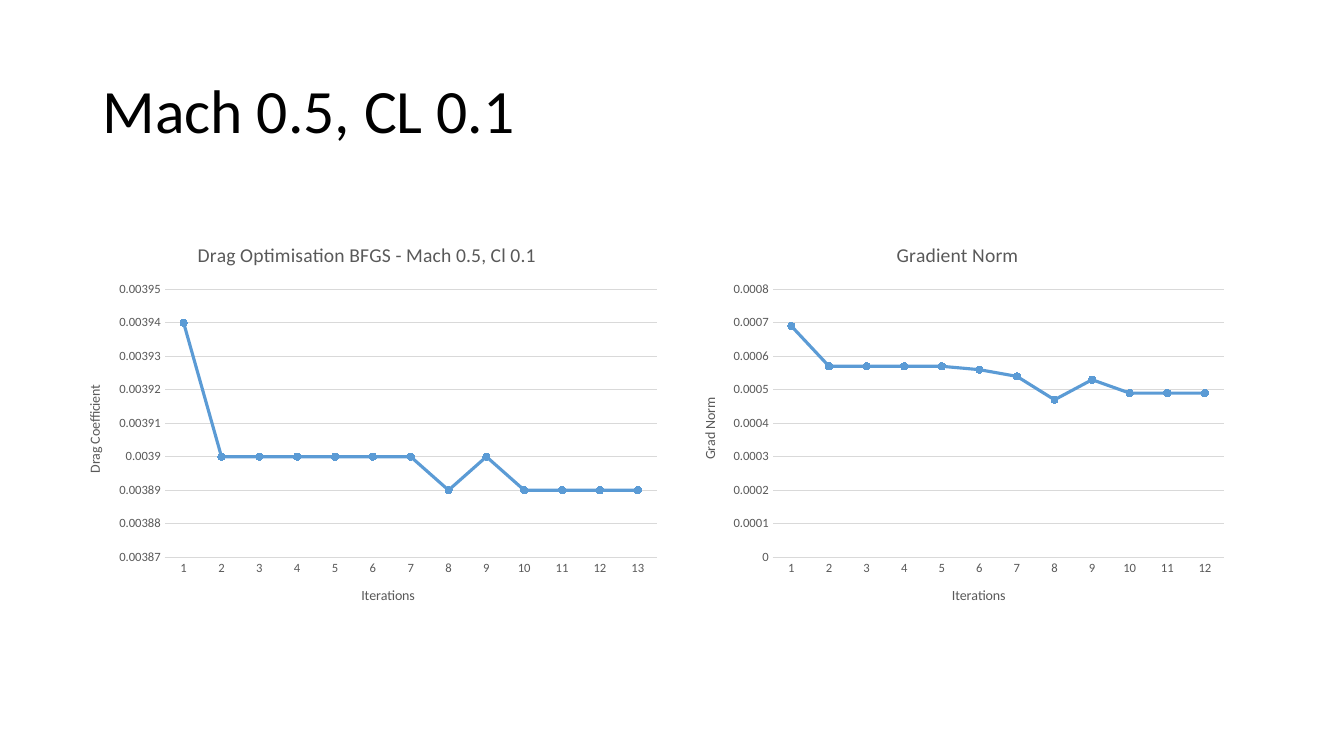
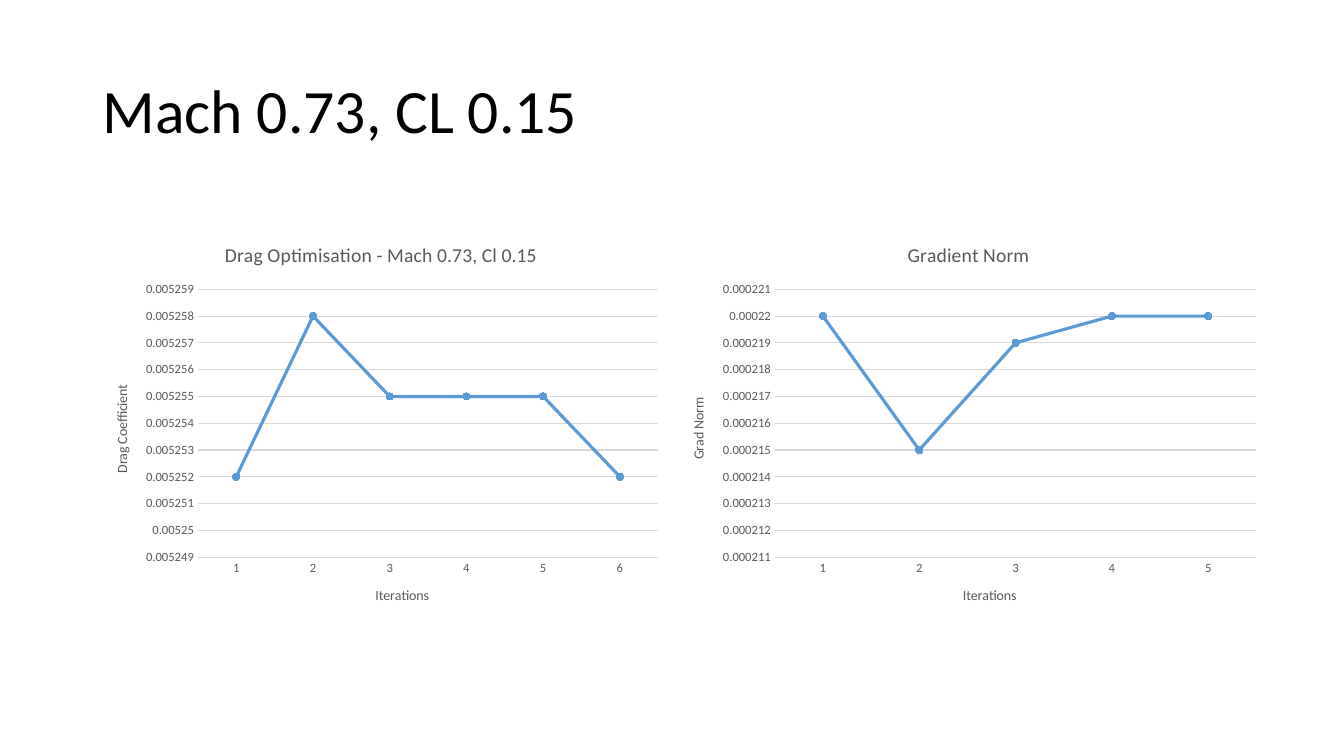
import pptx
import pptx.chart.data
import pptx.dml.color
import pptx.enum.chart
import pptx.enum.text
import pptx.oxml.ns
import pptx.util

PX = 9525
FONT = "Calibri"
BLACK = pptx.dml.color.RGBColor(0x00, 0x00, 0x00)
GRAY = pptx.dml.color.RGBColor(0x59, 0x59, 0x59)
GRID = pptx.dml.color.RGBColor(0xD9, 0xD9, 0xD9)
BLUE = pptx.dml.color.RGBColor(0x5B, 0x9B, 0xD5)

TITLE_BOX = {"left": 88, "top": 39, "width": 1104, "height": 139}
CHART_TOP, CHART_HEIGHT = 214, 381
TITLE_FRAME = {
    "auto_size": pptx.enum.text.MSO_AUTO_SIZE.NONE,
    "vertical_anchor": pptx.enum.text.MSO_ANCHOR.MIDDLE,
    "word_wrap": True,
}
TITLE_PARAGRAPH = {"alignment": pptx.enum.text.PP_ALIGN.LEFT, "line_spacing": 0.9}
AXIS = {
    "major_tick_mark": pptx.enum.chart.XL_TICK_MARK.NONE,
    "minor_tick_mark": pptx.enum.chart.XL_TICK_MARK.NONE,
    "has_title": True,
}
UPWARD_TEXT = {"rot": "-5400000", "vert": "horz"}

CASES = [
    ("Mach 0.5, CL 0.1", [
        {"heading": "Drag Optimisation BFGS - Mach 0.5, Cl 0.1",
         "quantity": "Drag Coefficient", "left": 62, "width": 575,
         "scale": (0.00387, 0.00395, 0.00001),
         "values": [0.00394, 0.0039, 0.0039, 0.0039, 0.0039, 0.0039, 0.0039,
                    0.00389, 0.0039, 0.00389, 0.00389, 0.00389, 0.00389]},
        {"heading": "Gradient Norm",
         "quantity": "Grad Norm", "left": 648, "width": 528,
         "scale": (0, 0.0008, 0.0001),
         "values": [0.00069, 0.00057, 0.00057, 0.00057, 0.00057, 0.00056,
                    0.00054, 0.00047, 0.00053, 0.00049, 0.00049, 0.00049]},
    ]),
    ("Mach 0.73, CL 0.15", [
        {"heading": "Drag Optimisation - Mach 0.73, Cl 0.15",
         "quantity": "Drag Coefficient", "left": 88, "width": 550,
         "scale": (0.005249, 0.005259, 0.000001),
         "values": [0.005252, 0.005258, 0.005255, 0.005255, 0.005255, 0.005252]},
        {"heading": "Gradient Norm",
         "quantity": "Grad Norm", "left": 637, "width": 571,
         "scale": (0.000211, 0.000221, 0.000001),
         "values": [0.00022, 0.000215, 0.000219, 0.00022, 0.00022]},
    ]),
]


def apply_format(target, values):
    """Set every attribute named in values on target."""
    for name, value in values.items():
        setattr(target, name, value)


def style_font(font, size, color):
    """Give a font the deck's typeface, a size in points and a colour."""
    apply_format(font, {"name": FONT, "size": pptx.util.Pt(size), "bold": False})
    font.color.rgb = color


def style_line(line, color, width):
    """Give a line a solid colour and a width in points."""
    line.color.rgb = color
    line.width = pptx.util.Pt(width)


def write_label(frame, wording, size):
    """Write a chart or axis title."""
    frame.text = wording
    style_font(frame.paragraphs[0].runs[0].font, size, GRAY)


def style_axis(axis, wording):
    """Apply the tick, label and title style shared by both axes."""
    apply_format(axis, AXIS)
    style_font(axis.tick_labels.font, 9, GRAY)
    write_label(axis.axis_title.text_frame, wording, 10)


def style_value_axis(axis, quantity, scale):
    """Scale the value axis, draw its grid and turn its title."""
    style_axis(axis, quantity)
    apply_format(axis, dict(zip(("minimum_scale", "maximum_scale", "major_unit"), scale)))
    axis.format.line.fill.background()
    style_line(axis.major_gridlines.format.line, GRID, 0.75)
    body = axis.axis_title.element.find(".//" + pptx.oxml.ns.qn("a:bodyPr"))
    for name, value in UPWARD_TEXT.items():
        body.set(name, value)


def style_curve(curve):
    """Draw a series as a straight blue line with round markers."""
    curve.smooth = False
    style_line(curve.format.line, BLUE, 2.25)
    apply_format(curve.marker, {"style": pptx.enum.chart.XL_MARKER_STYLE.CIRCLE, "size": 5})
    curve.marker.format.fill.solid()
    curve.marker.format.fill.fore_color.rgb = BLUE
    style_line(curve.marker.format.line, BLUE, 0.75)


def add_history(slide, heading, quantity, left, width, scale, values):
    """Add a line chart of one quantity over the iterations."""
    history = pptx.chart.data.CategoryChartData(number_format="General")
    history.categories = [str(step) for step in range(1, len(values) + 1)]
    history.add_series(heading, values)
    chart = slide.shapes.add_chart(
        pptx.enum.chart.XL_CHART_TYPE.LINE_MARKERS,
        left * PX, CHART_TOP * PX, width * PX, CHART_HEIGHT * PX, history).chart
    style_font(chart.font, 10, BLACK)
    apply_format(chart, {"has_legend": False, "has_title": True})
    write_label(chart.chart_title.text_frame, heading, 14)
    chart.chart_title.include_in_layout = False
    chart.plots[0].vary_by_categories = False
    style_axis(chart.category_axis, "Iterations")
    style_line(chart.category_axis.format.line, GRID, 0.75)
    style_value_axis(chart.value_axis, quantity, scale)
    style_curve(chart.series[0])


def write_title(slide, wording):
    """Place and format the slide title."""
    title = slide.shapes.title
    apply_format(title, {name: length * PX for name, length in TITLE_BOX.items()})
    title.text_frame.text = wording
    apply_format(title.text_frame, TITLE_FRAME)
    paragraph = title.text_frame.paragraphs[0]
    apply_format(paragraph, TITLE_PARAGRAPH)
    style_font(paragraph.runs[0].font, 44, BLACK)


def main():
    """Build one slide for each flight case."""
    deck = pptx.Presentation()
    apply_format(deck, {"slide_width": 1280 * PX, "slide_height": 720 * PX})
    for wording, histories in CASES:
        slide = deck.slides.add_slide(deck.slide_layouts[5])
        write_title(slide, wording)
        for history in histories:
            add_history(slide, **history)
    deck.save("out.pptx")


if __name__ == "__main__":
    main()
